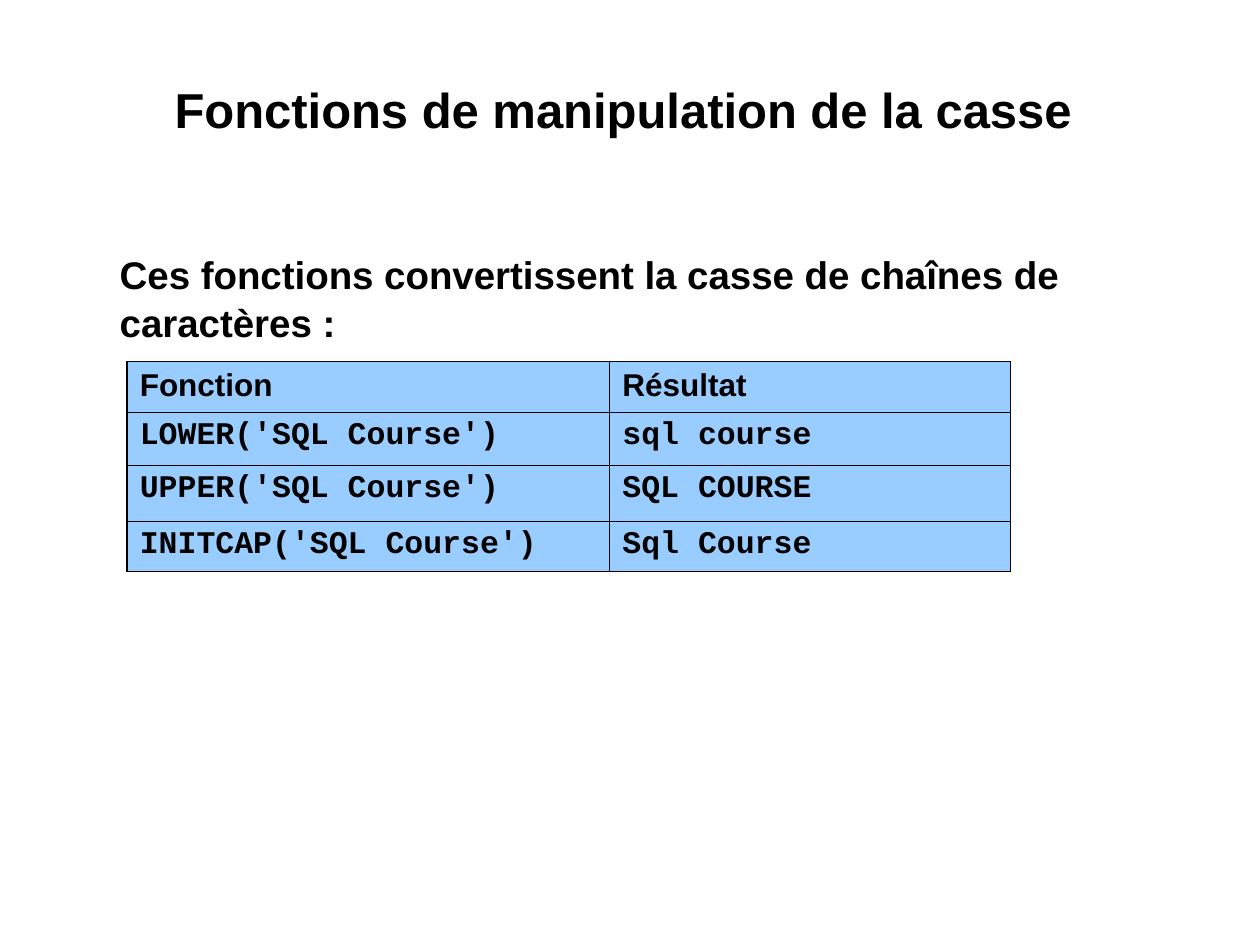
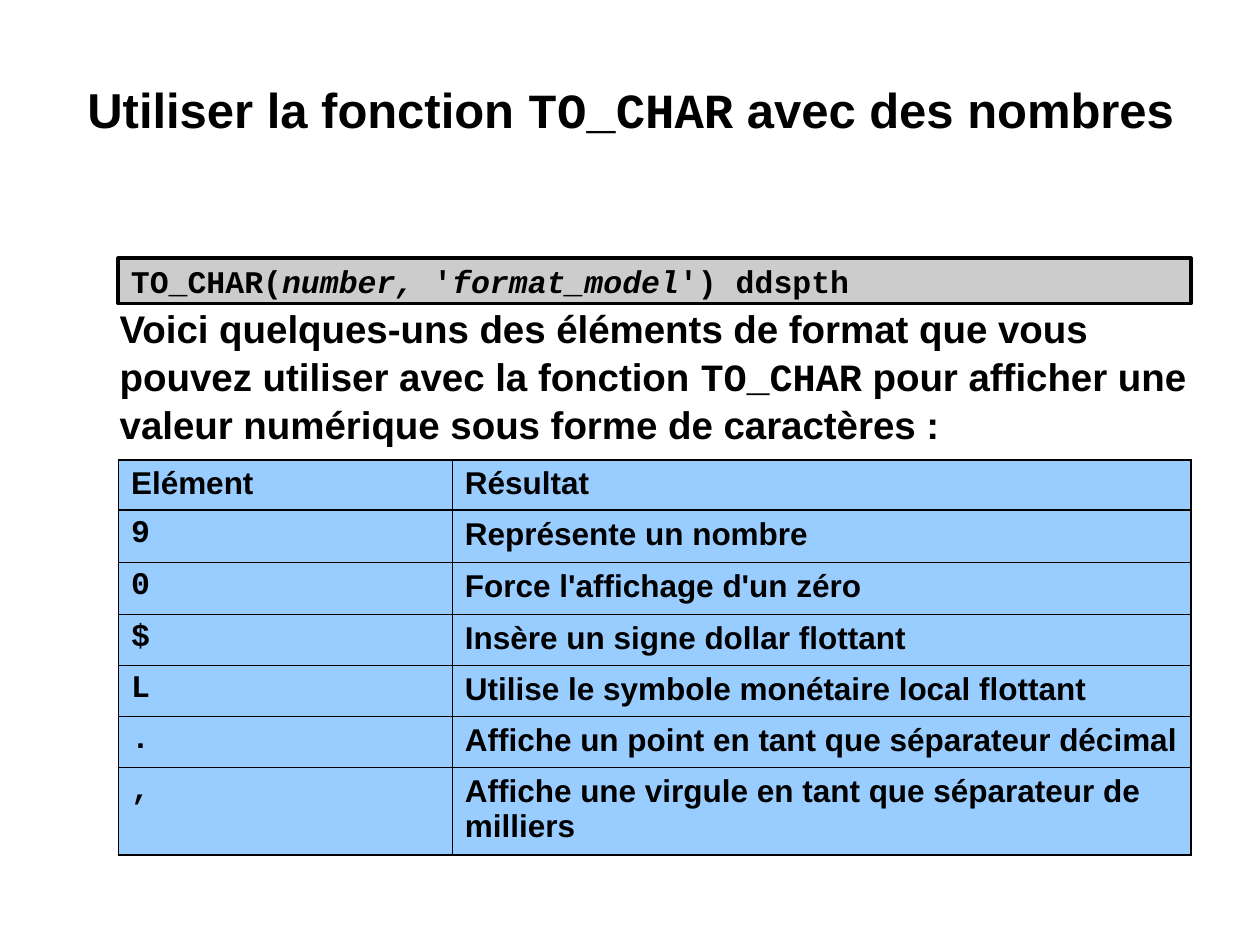
"""Builds two slides on SQL case and number formatting functions."""
from lxml import etree
from pptx import Presentation
from pptx import util as u
from pptx.dml.color import RGBColor
from pptx.enum import shapes, text
from pptx.oxml.ns import qn

COLORS = {"ink": "000000", "table": "99CCFF", "code": "CCCCCC"}
SANS, MONO = "Arial", "Courier New"
SIZES = {"title": 28, "body": 22, "cell": 18}
WIDTH, HEIGHT = u.Inches(10), u.Inches(7.5)
OUTER, INNER = 1.08, 0.45


def color(name):
    """Return a palette colour."""
    return RGBColor.from_string(COLORS[name])


def across(percent):
    """Return a percentage of the slide width."""
    return u.Emu(round(WIDTH * percent / 100))


def down(percent):
    """Return a percentage of the slide height."""
    return u.Emu(round(HEIGHT * percent / 100))


def area(left, top, width, height):
    """Turn percentages of the slide into a position and a size."""
    return across(left), down(top), across(width), down(height)


def write(para, spans, size):
    """Add bold runs given as (words, font) or (words, font, italic)."""
    for words, font, *italic in spans:
        span = para.add_run()
        span.text = words
        span.font.name = font
        span.font.size = u.Pt(size)
        span.font.bold = True
        span.font.italic = bool(italic and italic[0])
        span.font.color.rgb = color("ink")


def fill_placeholder(box, place, spans, size, anchor, inset_top=0.01):
    """Move a placeholder and write one unbulleted paragraph in it."""
    box.left, box.top, box.width, box.height = place
    frame = box.text_frame
    frame.word_wrap = True
    frame.auto_size = text.MSO_AUTO_SIZE.NONE
    frame.vertical_anchor = anchor
    frame.margin_left = frame.margin_right = frame.margin_bottom = u.Inches(0.01)
    frame.margin_top = u.Inches(inset_top)
    para = frame.paragraphs[0]
    para.space_before = u.Pt(0)
    write(para, spans, size)
    return para


def add_title(slide, left, width, spans):
    """Fill the centred title."""
    para = fill_placeholder(slide.shapes.title, area(left, 7.73, width, 12.8), spans,
                            SIZES["title"], text.MSO_ANCHOR.TOP, 0.05)
    para.alignment = text.PP_ALIGN.CENTER


def add_intro(slide, width, height, spans):
    """Fill the body with the sentence that leads to the table."""
    para = fill_placeholder(slide.placeholders[1], area(9.4, 26.53, width, height), spans,
                            SIZES["body"], text.MSO_ANCHOR.BOTTOM)
    para.alignment = text.PP_ALIGN.LEFT
    para.line_spacing = 1.04
    properties = para._p.get_or_add_pPr()
    properties.set("marL", "0")
    properties.set("indent", "0")
    etree.SubElement(properties, qn("a:buNone"))


def set_borders(cell, widths):
    """Draw the left, right, top and bottom borders of a cell."""
    properties = cell._tc.get_or_add_tcPr()
    for index, (side, width) in enumerate(zip("LRTB", widths)):
        line = etree.Element(qn(f"a:ln{side}"), w=str(u.Pt(width)))
        solid = etree.SubElement(line, qn("a:solidFill"))
        etree.SubElement(solid, qn("a:srgbClr"), val=COLORS["ink"])
        properties.insert(index, line)


def add_grid(slide, left, top, columns, heights, rows, fonts, header_rule):
    """Add a two-column table with a heavy frame and light inner rules."""
    place = area(left, top, sum(columns), sum(heights))
    table = slide.shapes.add_table(len(rows), len(columns), *place).table
    for column, width in zip(table.columns, columns):
        column.width = across(width)
    for row, height in zip(table.rows, heights):
        row.height = down(height)
    across_rules = [OUTER, header_rule] + [INNER] * (len(rows) - 2) + [OUTER]
    down_rules = [OUTER] + [INNER] * (len(columns) - 1) + [OUTER]
    for r, words in enumerate(rows):
        for c, word in enumerate(words):
            cell = table.cell(r, c)
            cell.fill.solid()
            cell.fill.fore_color.rgb = color("table")
            set_borders(cell, down_rules[c:c + 2] + across_rules[r:r + 2])
            font = fonts[c] if r else SANS
            para = cell.text_frame.paragraphs[0]
            if font == MONO:
                para.line_spacing = 0.95
            write(para, [(word, font)], SIZES["cell"])


def add_syntax(slide, place, spans):
    """Add the framed grey bar that shows a syntax."""
    box = slide.shapes.add_shape(shapes.MSO_SHAPE.RECTANGLE, *place)
    box.shadow.inherit = False
    box.fill.solid()
    box.fill.fore_color.rgb = color("code")
    box.line.color.rgb = color("ink")
    box.line.width = u.Pt(2.25)
    frame = box.text_frame
    frame.word_wrap = True
    frame.vertical_anchor = text.MSO_ANCHOR.MIDDLE
    para = frame.paragraphs[0]
    para.alignment = text.PP_ALIGN.LEFT
    write(para, spans, SIZES["cell"])


def build_case_slide(slide):
    """Show the functions that change case."""
    add_title(slide, 10, 80, [("Fonctions de manipulation de la casse ", SANS)])
    add_intro(slide, 80.6, 10.13, [
        ("Ces fonctions convertissent la casse de chaînes de caractères :", SANS)])
    add_grid(slide, 10.1, 38.27, [38.3, 31.8], [5.33, 5.6, 5.95, 5.33], [
        ("Fonction", "Résultat"),
        ("LOWER('SQL Course')", "sql course"),
        ("UPPER('SQL Course')", "SQL COURSE"),
        ("INITCAP('SQL Course')", "Sql Course"),
    ], (MONO, MONO), INNER)


def build_number_slide(slide):
    """Show the number formats of TO_CHAR."""
    add_title(slide, 6.4, 87.3, [
        ("Utiliser la fonction ", SANS), ("TO_CHAR", MONO), (" avec des nombres ", SANS)])
    add_intro(slide, 85.1, 20.93, [
        ("Voici quelques-uns des éléments de format que vous pouvez utiliser "
         "avec la fonction ", SANS),
        ("TO_CHAR", MONO),
        (" pour afficher une valeur numérique sous forme de caractères :", SANS)])
    heights = [5.33] + [5.5] * 2 + [5.4] * 3 + [9.33]
    add_grid(slide, 9.4, 48.67, [26.5, 58.6], heights, [
        ("Elément", "Résultat"),
        ("9", "Représente un nombre"),
        ("0", "Force l'affichage d'un zéro"),
        ("$", "Insère un signe dollar flottant"),
        ("L", "Utilise le symbole monétaire local flottant"),
        (".", "Affiche un point en tant que séparateur décimal"),
        (",", "Affiche une virgule en tant que séparateur de milliers"),
    ], (MONO, SANS), OUTER)
    add_syntax(slide, area(9.4, 27.33, 85.1, 4.8), [
        ("TO_CHAR(", MONO), ("number, ", MONO, True), ("'", MONO),
        ("format_model", MONO, True), ("') ddspth", MONO)])


def main():
    """Build and save the deck."""
    deck = Presentation()
    deck.slide_width, deck.slide_height = WIDTH, HEIGHT
    for build in (build_case_slide, build_number_slide):
        build(deck.slides.add_slide(deck.slide_layouts[1]))
    deck.save("out.pptx")


if __name__ == "__main__":
    main()
